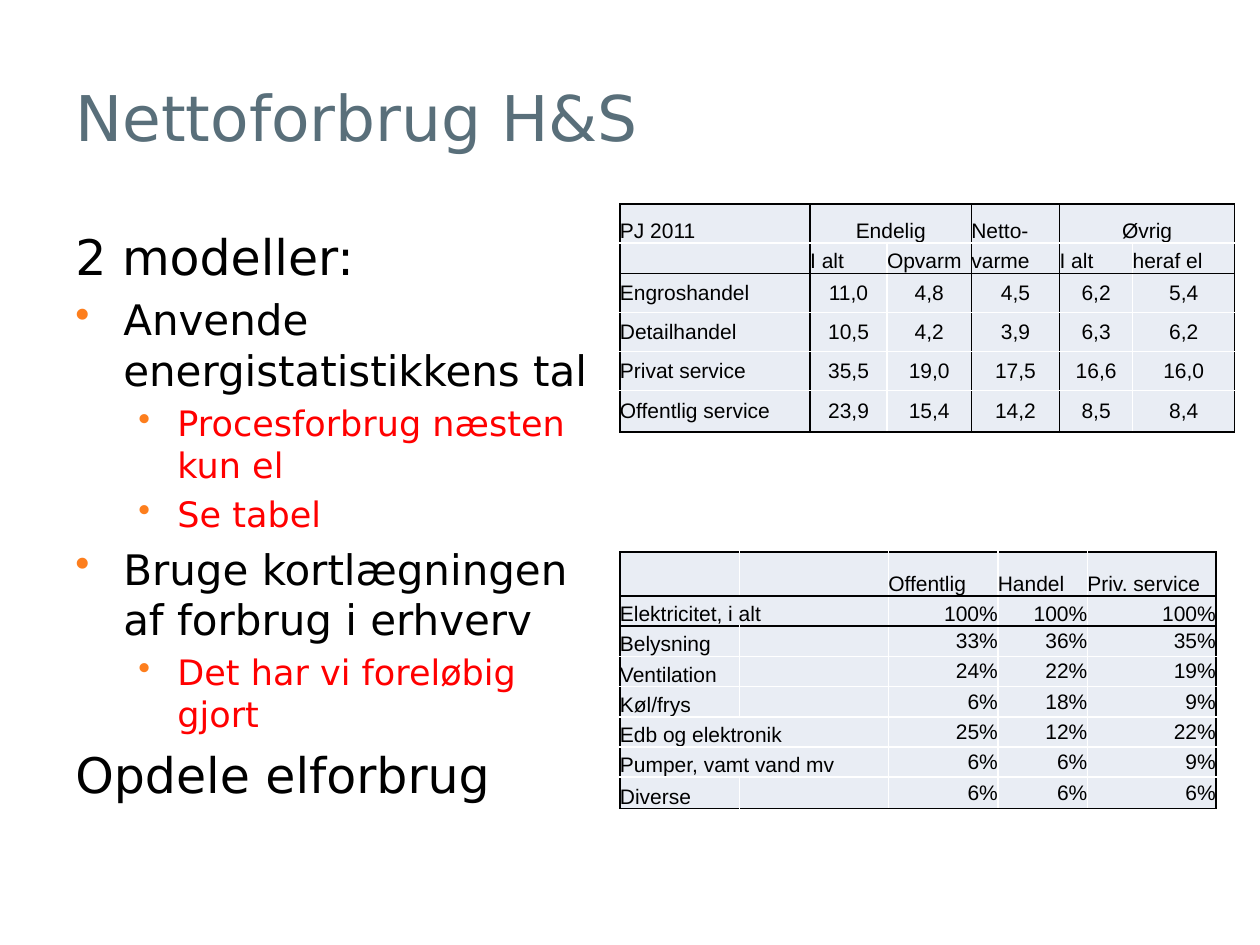
from lxml.etree import SubElement
from pptx import Presentation
from pptx.dml.color import RGBColor
from pptx.enum.text import MSO_ANCHOR, PP_ALIGN
from pptx.oxml.ns import qn
from pptx.util import Inches, Pt

BLACK = RGBColor(0x00, 0x00, 0x00)
WHITE = RGBColor(0xFF, 0xFF, 0xFF)
RED = RGBColor(0xFF, 0x00, 0x00)
SLATE = RGBColor(0x59, 0x6F, 0x7A)
ORANGE = RGBColor(0xFD, 0x7E, 0x1D)
PALE_BLUE = RGBColor(0xE9, 0xED, 0xF4)

TEXT_STYLES = {
    "plain": (28, BLACK, 0, 0),
    "model": (24, BLACK, 0.38, -0.38),
    "note": (20, RED, 0.81, -0.31),
}

BODY = [
    ("plain", "2 modeller:"),
    ("model", "Anvende energistatistikkens tal"),
    ("note", "Procesforbrug næsten kun el"),
    ("note", "Se tabel"),
    ("model", "Bruge kortlægningen af forbrug i erhverv"),
    ("note", "Det har vi foreløbig gjort"),
    ("plain", "Opdele elforbrug"),
]

CONSUMPTION = [
    ["PJ 2011", "Endelig", None, "Netto-", "Øvrig", None],
    ["", "I alt", "Opvarm", "varme", "I alt", "heraf el"],
    ["Engroshandel", "11,0", "4,8", "4,5", "6,2", "5,4"],
    ["Detailhandel", "10,5", "4,2", "3,9", "6,3", "6,2"],
    ["Privat service", "35,5", "19,0", "17,5", "16,6", "16,0"],
    ["Offentlig service", "23,9", "15,4", "14,2", "8,5", "8,4"],
]

ELECTRICITY = [
    ["", "", "Offentlig", "Handel", "Priv. service"],
    ["Elektricitet, i alt", None, "100%", "100%", "100%"],
    ["Belysning", "", "33%", "36%", "35%"],
    ["Ventilation", "", "24%", "22%", "19%"],
    ["Køl/frys", "", "6%", "18%", "9%"],
    ["Edb og elektronik", None, "25%", "12%", "22%"],
    ["Pumper, vamt vand mv", None, "6%", "6%", "9%"],
    ["Diverse", "", "6%", "6%", "6%"],
]


class SlideBuilder:
    """Holds the style and the current slide, and adds its elements."""

    text_font = "DejaVu Sans"
    table_font = "Arial"
    table_size = 12
    header_rows = 2

    def __init__(self, prs):
        self.s = prs.slides.add_slide(prs.slide_layouts[6])

    def format_runs(self, p, font, size, color):
        for r in p.runs:
            r.font.name = font
            r.font.size = Pt(size)
            r.font.color.rgb = color

    def text_box(self, left, top, width, height, anchor):
        sp = self.s.shapes.add_textbox(
            Inches(left), Inches(top), Inches(width), Inches(height))
        tf = sp.text_frame
        tf.word_wrap = True
        tf.vertical_anchor = anchor
        return tf

    def title(self, text, *box):
        tf = self.text_box(*box, MSO_ANCHOR.MIDDLE)
        tf.text = text
        self.format_runs(tf.paragraphs[0], self.text_font, 36, SLATE)

    def body(self, items, *box):
        tf = self.text_box(*box, MSO_ANCHOR.TOP)
        for i, (style, text) in enumerate(items):
            size, color, margin, indent = TEXT_STYLES[style]
            p = tf.add_paragraph() if i else tf.paragraphs[0]
            p.text = text
            p.level = 1 if style == "note" else 0
            self.format_runs(p, self.text_font, size, color)
            pPr = p._p.get_or_add_pPr()
            pPr.set("marL", str(Inches(margin)))
            pPr.set("indent", str(Inches(indent)))
            spacing = SubElement(pPr, qn("a:spcBef"))
            SubElement(spacing, qn("a:spcPct"), val="20000")
            if margin:
                bullet_color = SubElement(pPr, qn("a:buClr"))
                SubElement(bullet_color, qn("a:srgbClr"), val=str(ORANGE))
                SubElement(pPr, qn("a:buChar"), char="•")

    def border(self, cell, side, color):
        ln = SubElement(cell._tc.get_or_add_tcPr(), qn(f"a:ln{side}"), w=str(Pt(1)))
        fill = SubElement(ln, qn("a:solidFill"))
        SubElement(fill, qn("a:srgbClr"), val=str(color))

    def cell(self, cell, text, align, anchor):
        cell.margin_left = cell.margin_right = 0
        cell.margin_top = cell.margin_bottom = 0
        cell.vertical_anchor = anchor
        cell.fill.solid()
        cell.fill.fore_color.rgb = PALE_BLUE
        p = cell.text_frame.paragraphs[0]
        p.text = text
        p.alignment = align
        self.format_runs(p, self.table_font, self.table_size, BLACK)
        if not text:
            SubElement(p._p, qn("a:endParaRPr"), sz=str(self.table_size * 100))

    def table(self, left, top, columns, heights, rows, black_x, black_y,
              value_align, label_anchor):
        table = self.s.shapes.add_table(
            len(rows), len(columns), Inches(left), Inches(top),
            Inches(sum(columns)), Inches(sum(heights))).table
        table.first_row = table.horz_banding = False
        for column, width in zip(table.columns, columns):
            column.width = Inches(width)
        for row, height in zip(table.rows, heights):
            row.height = Inches(height)
        for y, row in enumerate(rows):
            for x, text in enumerate(row):
                cell = table.cell(y, x)
                merged = row[x + 1:x + 2] == [None]
                if merged:
                    cell.merge(table.cell(y, x + 1))
                if text is not None:
                    edges = [("L", x in black_x),
                             ("R", x + 1 + merged in black_x),
                             ("T", y in black_y),
                             ("B", y + 1 in black_y)]
                    for side, dark in edges:
                        self.border(cell, side, BLACK if dark else WHITE)
                text = text or ""
                is_value = text[:1].isdigit()
                align = value_align if is_value else PP_ALIGN.LEFT
                if merged and y == 0:
                    align = PP_ALIGN.CENTER
                anchor = MSO_ANCHOR.MIDDLE if is_value else label_anchor
                if y < self.header_rows:
                    anchor = MSO_ANCHOR.BOTTOM
                self.cell(cell, text, align, anchor)


def main():
    prs = Presentation()
    prs.slide_width = Inches(10)
    prs.slide_height = Inches(7.5)
    slide = SlideBuilder(prs)
    slide.title("Nettoforbrug H&S", 0.5, 0.3, 9, 1.25)
    slide.body(BODY, 0.5, 1.75, 4.42, 4.95)
    slide.table(4.92, 1.62, [1.51, 0.61, 0.67, 0.7, 0.58, 0.81],
                [0.31, 0.24] + [0.31] * 3 + [0.33], CONSUMPTION,
                {0, 1, 3, 4, 6}, {0, 2, 6}, PP_ALIGN.CENTER, MSO_ANCHOR.MIDDLE)
    slide.table(4.92, 4.38, [0.95, 1.18, 0.87, 0.71, 1.02],
                [0.35] + [0.24] * 6 + [0.25], ELECTRICITY,
                {0, 5}, {0, 1, 2, 8}, PP_ALIGN.RIGHT, MSO_ANCHOR.BOTTOM)
    prs.save("out.pptx")


if __name__ == "__main__":
    main()
